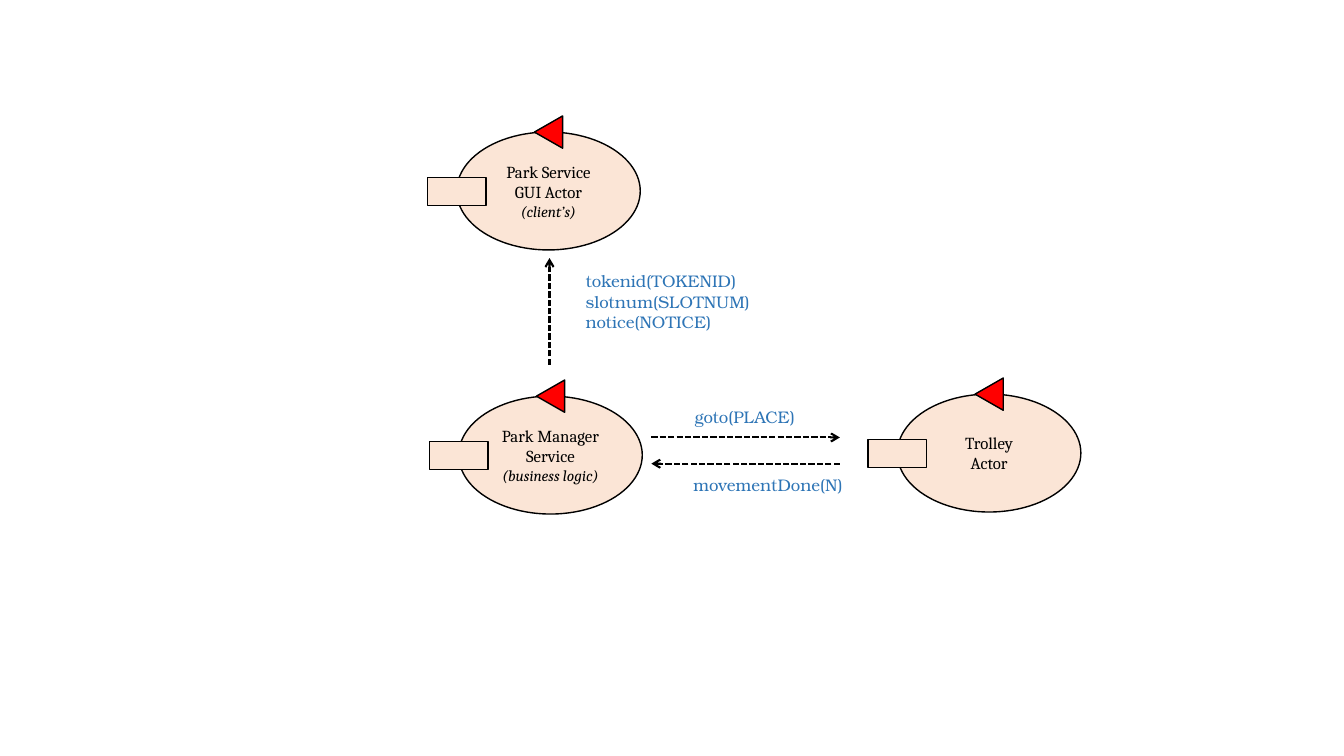
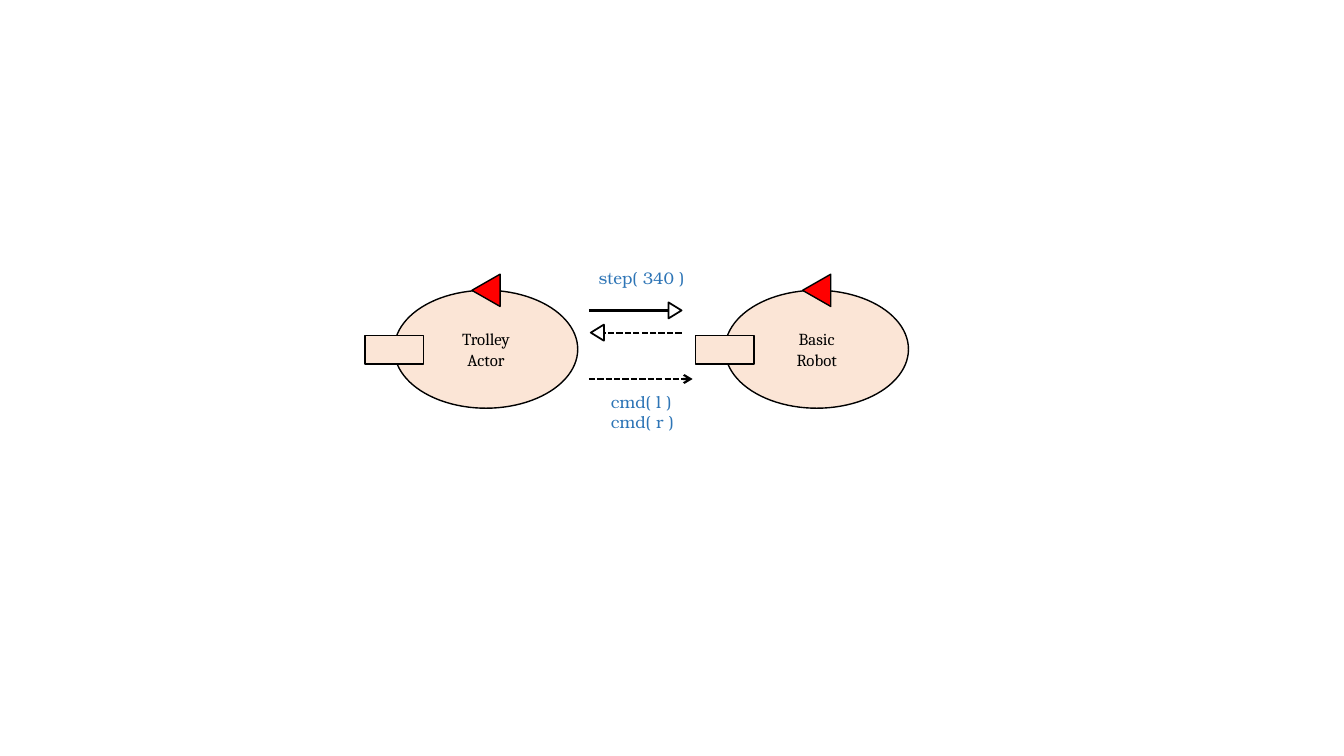
from lxml.etree import SubElement
from pptx import Presentation
from pptx.dml.color import RGBColor
from pptx.enum.dml import MSO_LINE_DASH_STYLE as Dash
from pptx.enum.shapes import MSO_CONNECTOR as Connector, MSO_SHAPE as Shape
from pptx.enum.text import MSO_ANCHOR as Anchor, MSO_AUTO_SIZE as AutoSize, PP_ALIGN as Align
from pptx.oxml.ns import qn
from pptx.util import Inches, Pt

BLACK, WHITE, PEACH, RED, BLUE = "000000", "FFFFFF", "FBE5D6", "FF0000", "2E75B6"
ACTOR_WIDTH, ACTOR_HEIGHT = 1.82, 1.17
HEAD_WIDTH, HEAD_HEIGHT = 0.16, 0.13
NAME = {"name": "Cambria", "size": Pt(12)}
ROLE = {"name": "Cambria", "size": Pt(11), "italic": True}
MESSAGE = {"name": "TeX Gyre Bonum", "size": Pt(12)}

# Parts of an actor: shape, offset from the ellipse, size, rotation, fill
ACTOR_PARTS = [
    (Shape.OVAL, 0, 0, ACTOR_WIDTH, ACTOR_HEIGHT, 0, PEACH),
    (Shape.ISOSCELES_TRIANGLE, 0.75, -0.14, 0.32, 0.28, 270, RED),
    (Shape.RECTANGLE, -0.29, 0.45, 0.58, 0.28, 0, PEACH),
]

# Actors: left, top, name lines, role
# Arrows: start x, start y, end x, end y, dashed, head
# Messages: left, top, width, height, lines
SLIDES = [
    {
        "actors": [
            (4.55, 3.93, ["Park Manager Service"], "(business logic)"),
            (4.53, 1.31, ["Park Service GUI Actor"], "(client’s)"),
            (8.9, 3.91, ["Trolley", "Actor"], None),
        ],
        "arrows": [
            (6.46, 4.34, 8.33, 4.34, True, "open"),
            (8.33, 4.6, 6.46, 4.6, True, "open"),
            (5.45, 3.62, 5.45, 2.56, True, "open"),
        ],
        "messages": [
            (6.79, 3.99, 1.21, 0.3, ["goto(PLACE)"]),
            (6.78, 4.66, 1.7, 0.3, ["movementDone(N)"]),
            (5.71, 2.64, 1.84, 0.71,
             ["tokenid(TOKENID)", "slotnum(SLOTNUM)", "notice(NOTICE)"]),
        ],
    },
    {
        "actors": [
            (3.91, 2.88, ["Trolley", "Actor"], None),
            (7.19, 2.88, ["Basic", "Robot"], None),
        ],
        "arrows": [
            (5.84, 3.08, 6.63, 3.08, False, "hollow"),
            (6.76, 3.3, 5.99, 3.3, True, "hollow"),
            (5.84, 3.76, 6.87, 3.76, True, "open"),
        ],
        "messages": [
            (5.84, 2.61, 1.07, 0.3, ["step( 340 )"]),
            (5.96, 3.84, 0.84, 0.5, ["cmd( l )", "cmd( r )"]),
        ],
    },
]


def add_solid(shapes, kind, box, rotation, fill, weight):
    """Add a filled, black-outlined preset shape and return it."""
    shape = shapes.add_shape(kind, *map(Inches, box))
    shape.rotation = rotation
    shape.shadow.inherit = False
    shape.fill.solid()
    shape.fill.fore_color.rgb = RGBColor.from_string(fill)
    shape.line.color.rgb = RGBColor.from_string(BLACK)
    shape.line.width = Pt(weight)
    return shape


def write_lines(frame, lines, color, alignment):
    """Write (text, font format) pairs, one paragraph each."""
    for index, (text, font_format) in enumerate(lines):
        paragraph = frame.add_paragraph() if index else frame.paragraphs[0]
        paragraph.alignment = alignment
        run = paragraph.add_run()
        run.text = text
        run.font.color.rgb = RGBColor.from_string(color)
        for attribute, value in font_format.items():
            setattr(run.font, attribute, value)


presentation = Presentation()
presentation.slide_width, presentation.slide_height = Inches(13.33), Inches(7.5)
blank_layout = presentation.slide_layouts[6]

for content in SLIDES:
    slide = presentation.slides.add_slide(blank_layout)

    for left, top, names, role in content["actors"]:
        actor = slide.shapes.add_group_shape()
        ellipse, marker, port = [
            add_solid(actor.shapes, kind, (left + dx, top + dy, width, height),
                      rotation, fill, 1)
            for kind, dx, dy, width, height, rotation, fill in ACTOR_PARTS
        ]
        lines = [(name, NAME) for name in names] + ([(role, ROLE)] if role else [])
        ellipse.text_frame.word_wrap = True
        ellipse.text_frame.vertical_anchor = Anchor.MIDDLE
        write_lines(ellipse.text_frame, lines, BLACK, Align.CENTER)

    for start_x, start_y, end_x, end_y, dashed, head in content["arrows"]:
        arrow = slide.shapes.add_connector(
            Connector.STRAIGHT, *map(Inches, (start_x, start_y, end_x, end_y)))
        arrow.line.color.rgb = RGBColor.from_string(BLACK)
        arrow.line.width = Pt(1.5)
        if dashed:
            arrow.line.dash_style = Dash.SQUARE_DOT
        properties = arrow._element.spPr
        SubElement(properties, qn("a:effectLst"))
        if head == "open":
            SubElement(properties.find(qn("a:ln")), qn("a:tailEnd"), type="arrow")
        else:
            direction = 1 if end_x > start_x else -1
            center_x = end_x + direction * HEAD_HEIGHT / 2
            box = (center_x - HEAD_WIDTH / 2, end_y - HEAD_HEIGHT / 2,
                   HEAD_WIDTH, HEAD_HEIGHT)
            add_solid(slide.shapes, Shape.ISOSCELES_TRIANGLE, box,
                      direction * 90 % 360, WHITE, 1.25)

    for left, top, width, height, texts in content["messages"]:
        message = slide.shapes.add_textbox(*map(Inches, (left, top, width, height)))
        message.text_frame.word_wrap = False
        message.text_frame.auto_size = AutoSize.SHAPE_TO_FIT_TEXT
        write_lines(message.text_frame, [(text, MESSAGE) for text in texts],
                    BLUE, Align.LEFT)

presentation.save("out.pptx")
